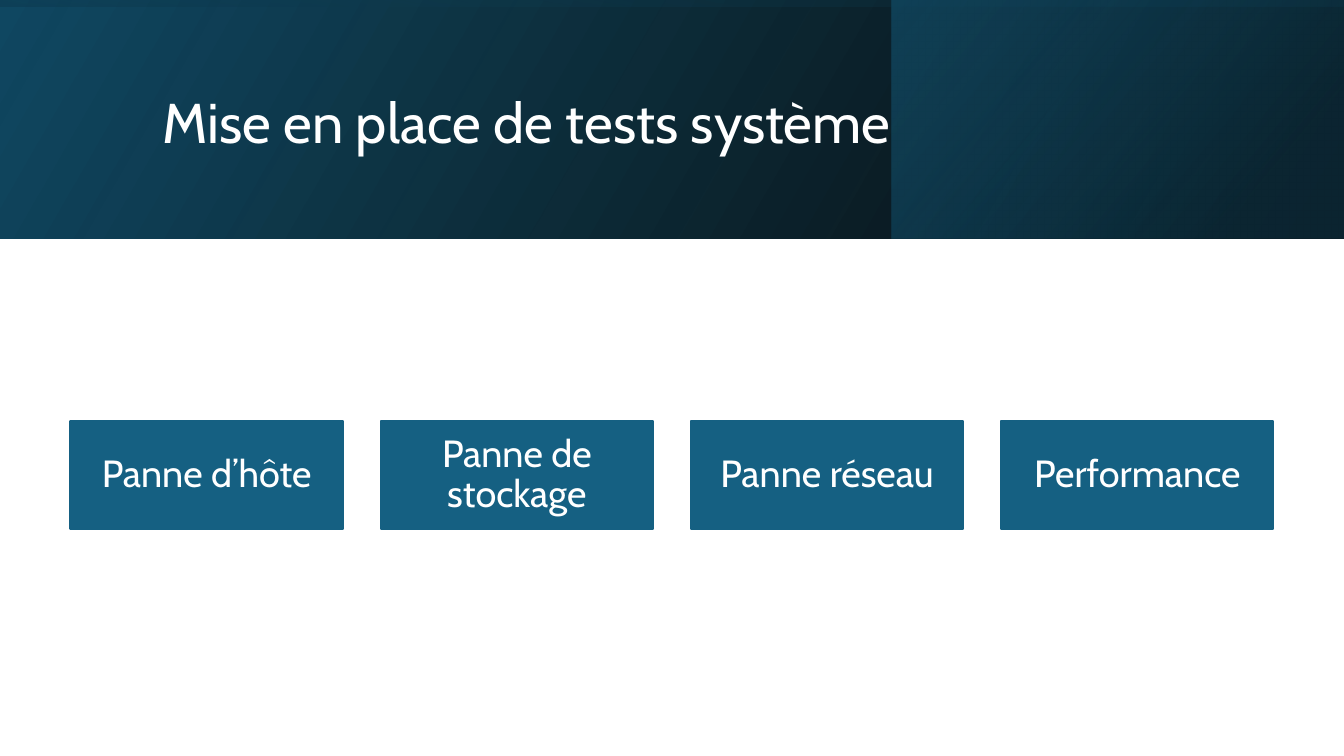
from dataclasses import dataclass

from lxml import etree
from pptx import Presentation
from pptx.dml.color import RGBColor
from pptx.enum.shapes import MSO_SHAPE as Shape
from pptx.enum.text import MSO_ANCHOR as Anchor, PP_ALIGN as Align
from pptx.oxml.ns import qn
from pptx.util import Inches, Pt


@dataclass(frozen=True)
class Theme:
    font: str = "Cabin"
    title_size: int = 40
    card_size: int = 27
    white: str = "FFFFFF"
    black: str = "000000"
    teal: str = "156082"
    deep: str = "104862"
    night: str = "0B3041"


T = Theme()
W, H = 13.33, 7.5
BAND_H = 0.316 * H
MARGIN = 0.7
CARD_W, CARD_H, CARD_TOP = 2.7, 1.07, 4.18
TESTS = ["Panne d’hôte", "Panne de stockage", "Panne réseau", "Performance"]


def set_all(obj, values):
    for name, value in values.items():
        setattr(obj, name, value)


def add_rect(slide, left, top, width, height):
    box = [Inches(v) for v in (left, top, width, height)]
    sp = slide.shapes.add_shape(Shape.RECTANGLE, *box)
    sp.shadow.inherit = False
    return sp


def write_text(sp, text, size, align, frame):
    tf = sp.text_frame
    set_all(tf, {"word_wrap": True, "vertical_anchor": Anchor.MIDDLE, **frame})
    p = tf.paragraphs[0]
    set_all(p, {"alignment": align, "line_spacing": 0.9})
    r = p.add_run()
    r.text = text
    set_all(r.font, {"name": T.font, "size": Pt(size)})
    r.font.color.rgb = RGBColor.from_string(T.white)


def add_band(slide, box, stops, angle, rotation=0):
    sp = add_rect(slide, *box)
    sp.rotation = rotation
    sp.line.fill.background()
    sp.fill.background()
    props = sp._element.spPr
    props.find(qn("a:xfrm")).set("flipH", "1")
    grad = etree.Element(qn("a:gradFill"), rotWithShape="1")
    stop_list = etree.SubElement(grad, qn("a:gsLst"))
    for pos, color, alpha in stops:
        gs = etree.SubElement(stop_list, qn("a:gs"), pos=str(pos * 1000))
        clr = etree.SubElement(gs, qn("a:srgbClr"), val=color)
        etree.SubElement(clr, qn("a:alpha"), val=str(alpha * 1000))
    etree.SubElement(grad, qn("a:lin"), ang=str(angle * 60000), scaled="0")
    props.replace(props.find(qn("a:noFill")), grad)


def add_title(slide, text):
    title = slide.shapes.title
    box = {"left": 1.51, "top": 0.38, "width": 10.63, "height": 1.72}
    set_all(title, {name: Inches(v) for name, v in box.items()})
    write_text(title, text, T.title_size, Align.LEFT, {})
    slide.shapes._spTree.append(title._element)


def add_card(slide, left, text):
    sp = add_rect(slide, left, CARD_TOP, CARD_W, CARD_H)
    sp.fill.solid()
    sp.line.width = Pt(1.5)
    for color in (sp.fill.fore_color, sp.line.color):
        color.rgb = RGBColor.from_string(T.teal)
    side, edge = Inches(0.21), Inches(0.12)
    insets = {"margin_left": side, "margin_right": side,
              "margin_top": edge, "margin_bottom": edge}
    write_text(sp, text, T.card_size, Align.CENTER, insets)


def main():
    prs = Presentation()
    set_all(prs, {"slide_width": Inches(W), "slide_height": Inches(H)})
    slide = prs.slides.add_slide(prs.slide_layouts[5])

    add_band(slide, (0, 0, W, BAND_H),
             [(0, T.black, 96), (100, T.deep, 100)], 330)
    add_band(slide, (8.84, 0, W - 8.84, BAND_H),
             [(19, T.night, 68), (100, T.teal, 48)], 320)
    shift = (W - BAND_H) / 2
    add_band(slide, (shift, -shift, BAND_H, W),
             [(23, T.deep, 16), (99, T.black, 45)], 350, rotation=270)
    add_title(slide, "Mise en place de tests système")

    pitch = (W - 2 * MARGIN - CARD_W) / (len(TESTS) - 1)
    for i, text in enumerate(TESTS):
        add_card(slide, MARGIN + i * pitch, text)

    prs.save("out.pptx")


if __name__ == "__main__":
    main()
